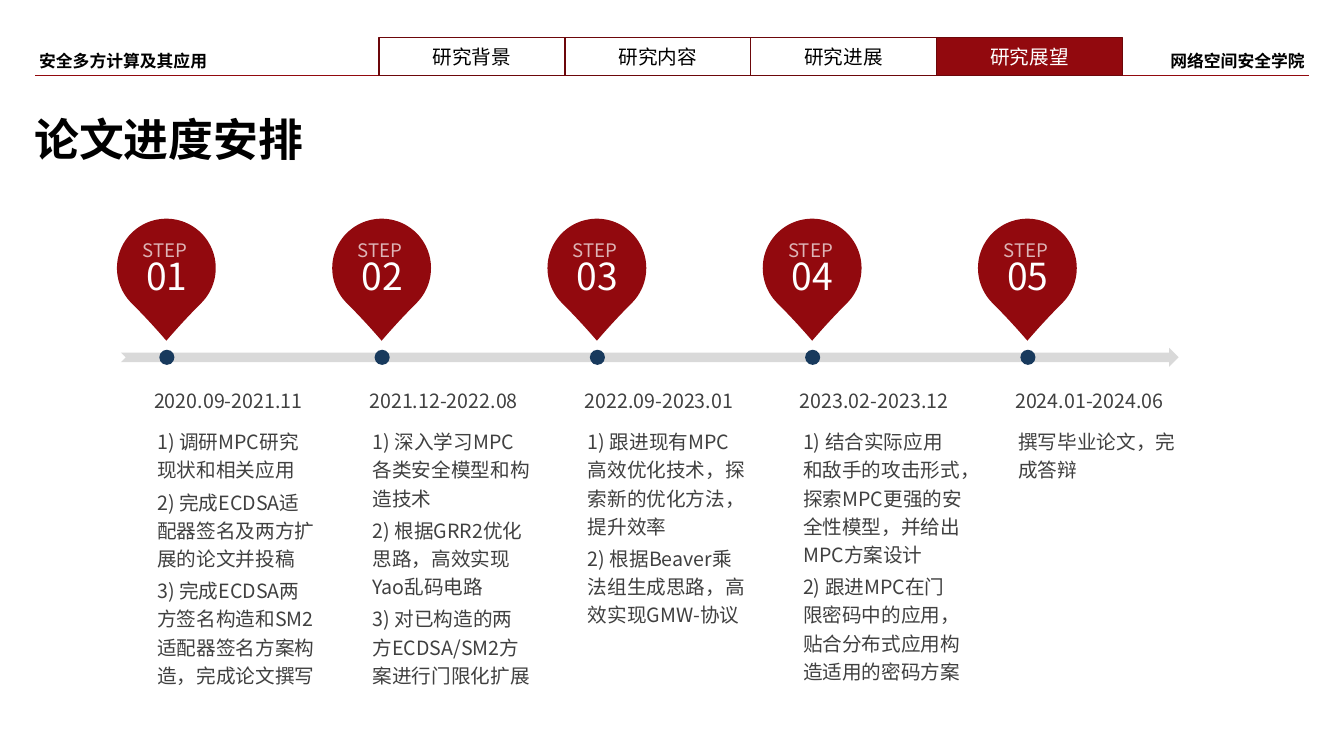
from dataclasses import dataclass

from lxml import etree
from pptx import Presentation
from pptx.dml.color import RGBColor
from pptx.enum.shapes import MSO_CONNECTOR, MSO_SHAPE
from pptx.enum.text import MSO_ANCHOR, MSO_AUTO_SIZE, PP_ALIGN
from pptx.oxml.ns import qn
from pptx.util import Inches, Pt

RECT, OVAL = MSO_SHAPE.RECTANGLE, MSO_SHAPE.OVAL
TEAR, ARROW = MSO_SHAPE.TEAR, MSO_SHAPE.NOTCHED_RIGHT_ARROW
LEFT, CENTER, RIGHT = PP_ALIGN.LEFT, PP_ALIGN.CENTER, PP_ALIGN.RIGHT
TOP, MIDDLE = MSO_ANCHOR.TOP, MSO_ANCHOR.MIDDLE
COMPARISON_LAYOUT = 4


@dataclass(frozen=True)
class Theme:
    font: str = "Noto Sans CJK SC"
    red: str = "92090E"
    dark_red: str = "6C070A"
    navy: str = "183A5D"
    grey: str = "D9D9D9"
    text: str = "404040"
    black: str = "000000"
    white: str = "FFFFFF"
    title_size: float = 32
    header_size: float = 12
    body_size: float = 14
    step_size: float = 13.3
    number_size: float = 26.6


class SlideBuilder:
    def __init__(self, slide, theme):
        self.s, self.theme = slide, theme

    def add_lines(self, sp, lines, size, color, bold=False, alpha=None, **para):
        """Append lines as paragraphs, reusing an empty first paragraph."""
        tf = sp.text_frame
        for line in lines:
            p = tf.paragraphs[0] if not tf.text else tf.add_paragraph()
            formats = {"alignment": LEFT, "space_before": Pt(0), **para}
            for name, value in formats.items():
                setattr(p, name, value)
            r = p.add_run()
            r.text = line
            for name, value in {"size": Pt(size), "bold": bold, "name": self.theme.font}.items():
                setattr(r.font, name, value)
            r.font.color.rgb = RGBColor.from_string(color)
            rPr = r._r.get_or_add_rPr()
            if alpha:
                clr = rPr.find(".//" + qn("a:srgbClr"))
                etree.SubElement(clr, qn("a:alpha")).set("val", str(alpha * 1000))
            etree.SubElement(rPr, qn("a:ea")).set("typeface", self.theme.font)

    def frame(self, sp, anchor=TOP, inset=(0.1, 0.05)):
        tf = sp.text_frame
        x, y = map(Inches, inset)
        formats = {"word_wrap": True, "auto_size": MSO_AUTO_SIZE.NONE, "vertical_anchor": anchor,
                   "margin_left": x, "margin_right": x, "margin_top": y, "margin_bottom": y}
        for name, value in formats.items():
            setattr(tf, name, value)
        return sp

    def text_box(self, box, **frame):
        return self.frame(self.s.shapes.add_textbox(*map(Inches, box)), **frame)

    def placeholder(self, idx, box, **frame):
        sp = self.s.placeholders[idx]
        sp.left, sp.top, sp.width, sp.height = map(Inches, box)
        return self.frame(sp, **frame)

    def shape(self, kind, box, fill=None, line=None):
        sp = self.s.shapes.add_shape(kind, *map(Inches, box))
        sp.shadow.inherit = False
        if fill:
            sp.fill.solid()
            sp.fill.fore_color.rgb = RGBColor.from_string(fill)
        else:
            sp.fill.background()
        if line:
            sp.line.color.rgb = RGBColor.from_string(line)
            sp.line.width = Pt(1)
        else:
            sp.line.fill.background()
        return sp

    def rule(self, x1, x2, y):
        line = self.s.shapes.add_connector(MSO_CONNECTOR.STRAIGHT, *map(Inches, (x1, y, x2, y)))
        line.line.color.rgb = RGBColor.from_string(self.theme.red)
        line.line.width = Pt(0.5)
        etree.SubElement(line._element.spPr, qn("a:effectLst"))

    def tab(self, box, label, active):
        t = self.theme
        sp = self.frame(self.shape(RECT, box, t.red if active else None, t.dark_red), MIDDLE)
        self.add_lines(sp, [label], t.body_size, t.white if active else t.black, alignment=CENTER)

    def pin(self, x, number):
        """Draw a step marker and its dot on the timeline; x is the pin's left edge."""
        t = self.theme
        drop = self.shape(TEAR, (x, 2.17, 0.98, 0.98), t.red)
        drop.adjustments[0] = 1.04
        drop.rotation = 45
        drop._element.spPr.find(qn("a:xfrm")).set("flipV", "1")
        label = self.text_box((x + 0.09, 2.32, 0.81, 0.72), anchor=MIDDLE, inset=(0.1, 0))
        self.add_lines(label, ["STEP "], t.step_size, t.white, alpha=70,
                       alignment=CENTER, line_spacing=Pt(t.step_size))
        self.add_lines(label, [f"{number:02}"], t.number_size, t.white,
                       alignment=CENTER, line_spacing=Pt(t.number_size))
        self.shape(OVAL, (x + 0.42, 3.47, 0.15, 0.15), t.navy)

    def tasks(self, sp, lines):
        t = self.theme
        self.add_lines(sp, lines, t.body_size, t.text, line_spacing=1.2,
                       space_before=Pt(t.body_size * 0.2))
        for p in sp.text_frame.paragraphs:
            pPr = p._p.get_or_add_pPr()
            pPr.set("marL", "0")
            pPr.set("indent", "0")
            etree.SubElement(pPr, qn("a:buNone"))


TABS = ["研究背景", "研究内容", "研究进展", "研究展望"]
ACTIVE_TAB = "研究展望"
STEPS = [
    ("2020.09-2021.11", ["1) 调研MPC研究现状和相关应用",
                         "2) 完成ECDSA适配器签名及两方扩展的论文并投稿",
                         "3) 完成ECDSA两方签名构造和SM2适配器签名方案构造，完成论文撰写"]),
    ("2021.12-2022.08", ["1) 深入学习MPC各类安全模型和构造技术",
                         "2) 根据GRR2优化思路，高效实现Yao乱码电路",
                         "3) 对已构造的两方ECDSA/SM2方案进行门限化扩展"]),
    ("2022.09-2023.01", ["1) 跟进现有MPC高效优化技术，探索新的优化方法，提升效率",
                         "2) 根据Beaver乘法组生成思路，高效实现GMW-协议"]),
    ("2023.02-2023.12", ["1) 结合实际应用和敌手的攻击形式，探索MPC更强的安全性模型，并给出MPC方案设计",
                         "2) 跟进MPC在门限密码中的应用，贴合分布式应用构造适用的密码方案"]),
    ("2024.01-2024.06", ["撰写毕业论文，完成答辩"]),
]
STEP_LEFT, STEP_PITCH = 1.16, 2.135
TAB_LEFT, TAB_WIDTH = 3.76, 1.843


def main():
    prs = Presentation()
    prs.slide_width, prs.slide_height = Inches(13.33), Inches(7.5)
    t = Theme()
    b = SlideBuilder(prs.slides.add_slide(prs.slide_layouts[COMPARISON_LAYOUT]), t)

    for box, label, align in [((0.29, 0.45, 5.05, 0.3), "安全多方计算及其应用", LEFT),
                              ((10.83, 0.45, 2.21, 0.3), "网络空间安全学院", RIGHT)]:
        b.add_lines(b.text_box(box), [label], t.header_size, t.black, bold=True, alignment=align)
    b.rule(0.35, 12.98, 0.75)
    for i, label in enumerate(TABS):
        b.tab((TAB_LEFT + i * TAB_WIDTH, 0.37, TAB_WIDTH, 0.38), label, label == ACTIVE_TAB)

    title = b.placeholder(0, (0.24, 1.06, 5.1, 0.64))
    b.add_lines(title, ["论文进度安排"], t.title_size, t.black, bold=True)

    b.shape(ARROW, (1.2, 3.45, 10.49, 0.19), t.grey)
    for i, (period, lines) in enumerate(STEPS):
        x = STEP_LEFT + i * STEP_PITCH
        b.pin(x, i + 1)
        date = b.text_box((x + 0.27, 3.81, 1.69, 0.34))
        b.add_lines(date, [period], t.body_size, t.text)
        box, inset = (x + 0.27, 4.15, 1.84, 2.69), (0.13, 0.07)
        if len(lines) > 1:
            sp = b.placeholder(i + 1, box, inset=inset)
        else:
            sp = b.text_box(box, inset=inset)
        b.tasks(sp, lines)

    prs.save("out.pptx")


if __name__ == "__main__":
    main()
